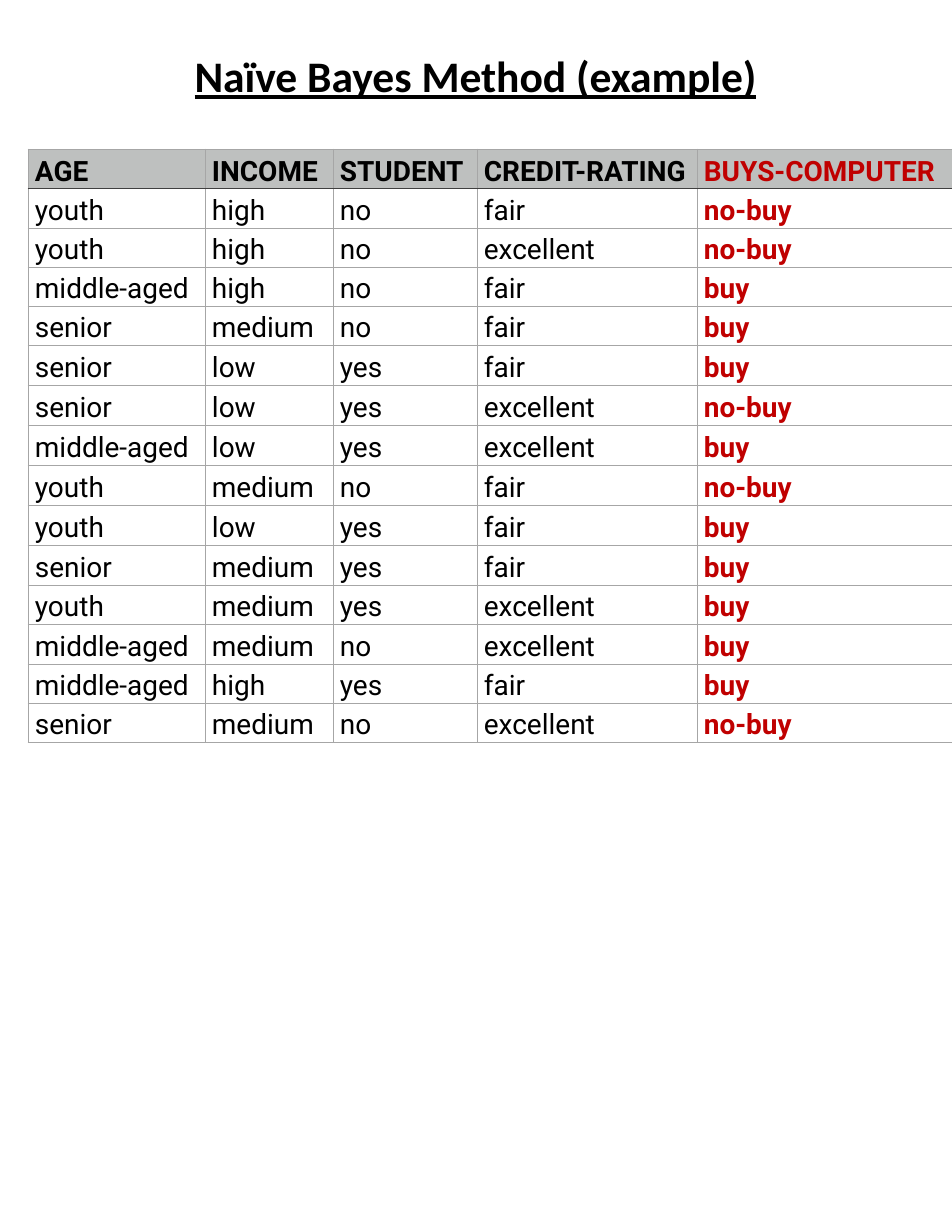
from lxml import etree
from pptx import Presentation
from pptx.dml.color import RGBColor
from pptx.enum.text import MSO_ANCHOR, PP_ALIGN
from pptx.oxml.ns import qn
from pptx.util import Pt

CENTER = PP_ALIGN.CENTER
TOP = MSO_ANCHOR.TOP
EMU_PER_PX = 914400 / 112

THEME = {
    "text": "000000", "accent": "C00000", "header": "BEC0BF",
    "grid": "A6A6A6", "header_rule": "404040",
    "title_font": "Calibri", "table_font": "Roboto",
    "title_size": 28, "table_size": 18,
}

COLUMN_WIDTHS = [177, 128, 144, 220, 255]
ROW_HEIGHT = 31
# Space above the text in points, then the cells of the row
ROWS = [
    (4, "AGE INCOME STUDENT CREDIT-RATING BUYS-COMPUTER"),
    (3.8, "youth high no fair no-buy"),
    (3.5, "youth high no excellent no-buy"),
    (3.4, "middle-aged high no fair buy"),
    (3.3, "senior medium no fair buy"),
    (4.2, "senior low yes fair buy"),
    (4.2, "senior low yes excellent no-buy"),
    (4.1, "middle-aged low yes excellent buy"),
    (4, "youth medium no fair no-buy"),
    (4, "youth low yes fair buy"),
    (3.9, "senior medium yes fair buy"),
    (3.8, "youth medium yes excellent buy"),
    (3.8, "middle-aged medium no excellent buy"),
    (3.7, "middle-aged high yes fair buy"),
    (3.6, "senior medium no excellent no-buy"),
]


def px(n):
    return round(n * EMU_PER_PX)


def add_border(cell, side, color, width):
    """Draw one side (L, R, T or B, in that order); call before filling the cell."""
    ln = etree.SubElement(cell._tc.get_or_add_tcPr(), qn(f"a:ln{side}"), w=str(Pt(width)))
    fill = etree.SubElement(ln, qn("a:solidFill"))
    etree.SubElement(fill, qn("a:srgbClr"), val=color)


prs = Presentation()
prs.slide_width, prs.slide_height = px(952), px(1232)
s = prs.slides.add_slide(prs.slide_layouts[6])

# Title
title = s.shapes.add_textbox(px(47), px(49), px(857), px(53))
tf = title.text_frame
tf.word_wrap = True
tf.margin_left = tf.margin_top = tf.margin_right = tf.margin_bottom = 0
p = tf.paragraphs[0]
p.text = "Naïve Bayes Method (example)"
p.alignment = CENTER
p.font.name = THEME["title_font"]
p.font.size = Pt(THEME["title_size"])
p.font.bold = p.font.underline = True
p.font.color.rgb = RGBColor.from_string(THEME["text"])

# Training data
table = s.shapes.add_table(
    len(ROWS), len(COLUMN_WIDTHS), px(28), px(149),
    px(sum(COLUMN_WIDTHS)), px(ROW_HEIGHT * len(ROWS)),
).table
table.first_row = table.horz_banding = False
for column, width in zip(table.columns, COLUMN_WIDTHS):
    column.width = px(width)

for i, (space, line) in enumerate(ROWS):
    table.rows[i].height = px(ROW_HEIGHT)
    for j, text in enumerate(line.split()):
        is_header, is_class = i == 0, j == len(COLUMN_WIDTHS) - 1
        cell = table.cell(i, j)
        cell.margin_left, cell.margin_top = px(7), Pt(space)
        cell.margin_right = cell.margin_bottom = 0
        cell.vertical_anchor = TOP

        for side in "LRTB":
            if (i, side) in ((0, "B"), (1, "T")):
                add_border(cell, side, THEME["header_rule"], 0.75)
            else:
                add_border(cell, side, THEME["grid"], 0.5)
        if is_header:
            cell.fill.solid()
            cell.fill.fore_color.rgb = RGBColor.from_string(THEME["header"])
        else:
            cell.fill.background()

        p = cell.text_frame.paragraphs[0]
        p.text = text
        p.space_before = Pt(space)
        p.font.name = THEME["table_font"]
        p.font.size = Pt(THEME["table_size"])
        p.font.bold = is_header or is_class
        p.font.color.rgb = RGBColor.from_string(THEME["accent" if is_class else "text"])

prs.save("out.pptx")
